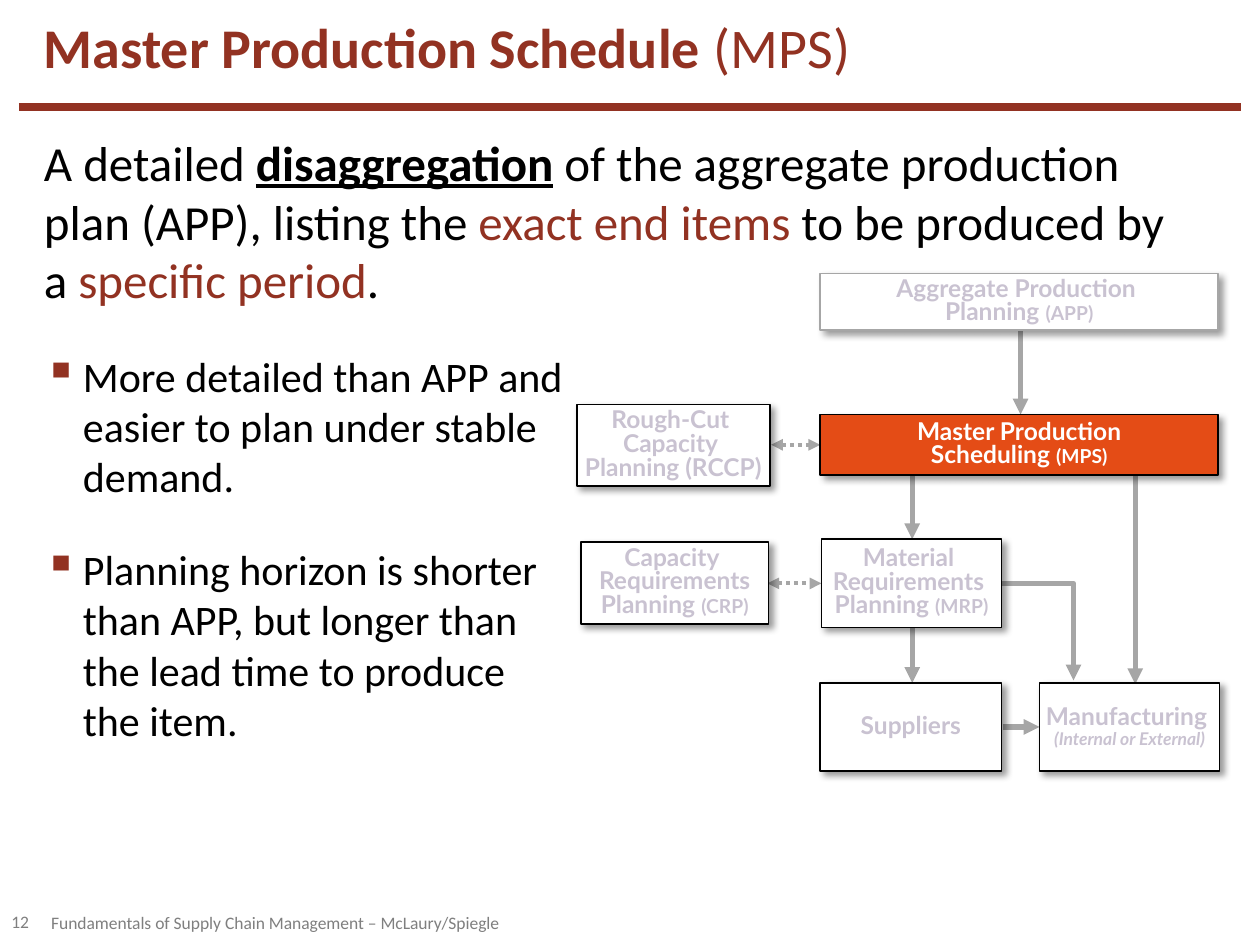
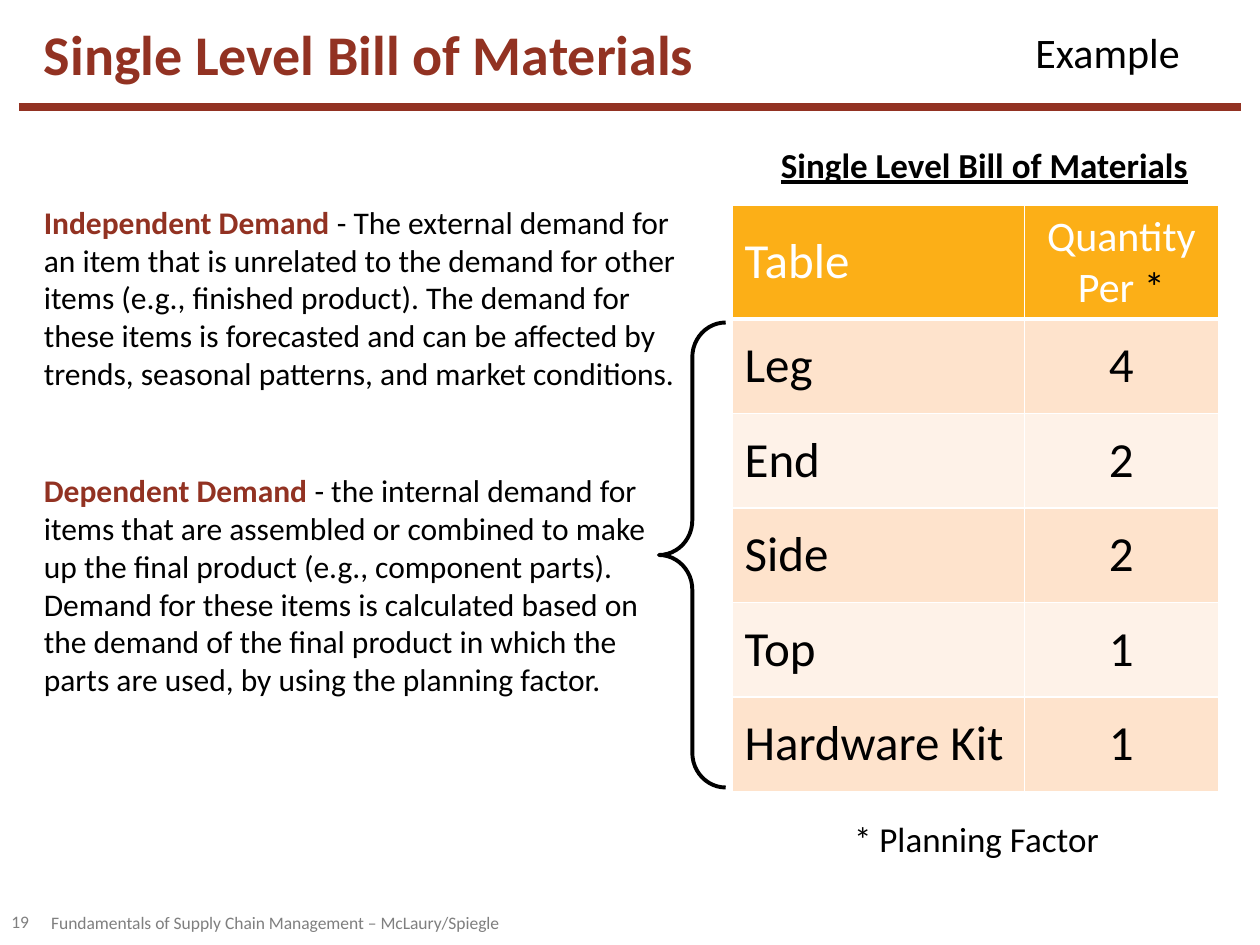
from dataclasses import dataclass
from lxml import etree
from pptx import Presentation
from pptx.dml.color import RGBColor
from pptx.enum.dml import MSO_LINE
from pptx.enum.shapes import MSO_CONNECTOR, MSO_SHAPE
from pptx.enum.text import MSO_ANCHOR, PP_ALIGN
from pptx.oxml.ns import qn
from pptx.util import Inches, Pt

LEFT, CENTER, RIGHT = PP_ALIGN.LEFT, PP_ALIGN.CENTER, PP_ALIGN.RIGHT
TOP, MIDDLE, BOTTOM = MSO_ANCHOR.TOP, MSO_ANCHOR.MIDDLE, MSO_ANCHOR.BOTTOM
STRAIGHT, ELBOW = MSO_CONNECTOR.STRAIGHT, MSO_CONNECTOR.ELBOW
RECT, BRACE = MSO_SHAPE.RECTANGLE, MSO_SHAPE.LEFT_BRACE
DOTTED = MSO_LINE.ROUND_DOT


@dataclass(frozen=True)
class Theme:
    font: str = "Calibri"
    box_font: str = "Lato"
    brick: str = "923222"
    black: str = "000000"
    white: str = "FFFFFF"
    grey: str = "7F7F7F"
    arrow: str = "A6A6A6"
    faded: str = "C9C2D1"
    orange: str = "E44C16"
    header: str = "FCAF17"
    bands: tuple = ("FEE3CC", "FEF2E8")
    title: int = 32
    lead: int = 28
    bullet: int = 24
    label: int = 20
    body: int = 18
    box: int = 14
    abbr: int = 11
    small: int = 10


T = Theme()


def add_runs(p, runs, size, color, align=LEFT, font=T.font, spacing=None):
    p.alignment = align
    if spacing:
        p.line_spacing = spacing
    for text, *style in runs:
        opts = style[0] if style else {}
        r = p.add_run()
        r.text = text
        r.font.name = font
        r.font.size = Pt(opts.get("size", size))
        r.font.color.rgb = RGBColor.from_string(opts.get("color", color))
        r.font.bold = opts.get("bold", False)
        r.font.italic = opts.get("italic", False)
        r.font.underline = opts.get("underline", False)


def add_text(s, at, runs, size, color=T.black, align=LEFT, anchor=TOP, wrap=True, inset=True, spacing=None):
    tf = s.shapes.add_textbox(*map(Inches, at)).text_frame
    tf.word_wrap = wrap
    tf.vertical_anchor = anchor
    if not inset:
        tf.margin_left = tf.margin_right = tf.margin_top = tf.margin_bottom = 0
    add_runs(tf.paragraphs[0], runs, size, color, align, spacing=spacing)
    return tf


prs = Presentation()
prs.slide_width, prs.slide_height = Inches(10), Inches(7.5)
BOLD = {"bold": True}
BRICK = {"color": T.brick}

slides = []
for number in ("12", "19"):
    s = prs.slides.add_slide(prs.slide_layouts[6])
    rule = s.shapes.add_connector(STRAIGHT, Inches(0.15), Inches(0.85), Inches(9.85), Inches(0.85))
    rule.line.color.rgb = RGBColor.from_string(T.brick)
    rule.line.width = Pt(4.5)
    etree.SubElement(rule.element.spPr, qn("a:effectLst"))
    add_text(s, (0.31, 7.23, 3.65, 0.19), [("Fundamentals of Supply Chain Management – McLaury/Spiegle",)],
             T.small, T.grey, RIGHT, MIDDLE, inset=False)
    add_text(s, (0.09, 7.22, 0.21, 0.19), [(number,)], T.small, T.grey, anchor=MIDDLE, inset=False)
    slides.append(s)
mps, bom = slides

add_text(mps, (0.25, 0.14, 7.67, 0.54), [("Master Production Schedule ", BOLD), ("(MPS)",)],
         T.title, T.brick, anchor=BOTTOM, spacing=0.8)
add_text(mps, (0.25, 1, 9.31, 1.61), [
    ("A detailed ",),
    ("disaggregation", {"bold": True, "underline": True}),
    (" of the aggregate production plan (APP), listing the ",),
    ("exact end items ", BRICK),
    ("to be produced by a ",),
    ("specific period", BRICK),
    (".",),
], T.lead)

bullets = [
    "More detailed than APP and easier to plan under stable demand.",
    "Planning horizon is shorter than APP, but longer than the lead time to produce the item.",
]
tf = add_text(mps, (0.25, 2.73, 4.33, 3.26), [(bullets[0],)], T.bullet)
add_runs(tf.add_paragraph(), [(bullets[1],)], T.bullet, T.black)
for p in tf.paragraphs:
    p.space_before = p.space_after = Pt(12)
    pPr = p._p.get_or_add_pPr()
    pPr.set("marL", str(Inches(0.31)))
    pPr.set("indent", str(Inches(-0.31)))
    color = etree.SubElement(pPr, qn("a:buClr"))
    etree.SubElement(color, qn("a:srgbClr"), val=T.brick)
    etree.SubElement(pPr, qn("a:buSzPct"), val="110000")
    etree.SubElement(pPr, qn("a:buChar"), char="▪")

arrows = [
    (STRAIGHT, 6.09, 4.63, 6.52, 4.63, True),
    (STRAIGHT, 6.12, 3.53, 6.51, 3.53, True),
    (STRAIGHT, 7.24, 4.98, 7.24, 5.42, False),
    (STRAIGHT, 9.01, 3.76, 9.01, 5.43, False),
    (STRAIGHT, 7.24, 3.75, 7.24, 4.28, False),
    (STRAIGHT, 7.96, 5.77, 8.25, 5.77, False),
    (STRAIGHT, 8.1, 2.62, 8.1, 3.29, False),
    (ELBOW, 7.95, 4.63, 8.52, 5.4, False),
]
for kind, x1, y1, x2, y2, two_way in arrows:
    arrow = mps.shapes.add_connector(kind, *map(Inches, (x1, y1, x2, y2)))
    arrow.line.color.rgb = RGBColor.from_string(T.arrow)
    arrow.line.width = Pt(2.25 if two_way else 3)
    ln = arrow.line._get_or_add_ln()
    if two_way:
        arrow.line.dash_style = DOTTED
        etree.SubElement(ln, qn("a:headEnd"), type="triangle")
    etree.SubElement(ln, qn("a:tailEnd"), type="triangle")
    etree.SubElement(arrow.element.spPr, qn("a:effectLst"))
    if kind == ELBOW:
        arrow.element.spPr.find(qn("a:prstGeom")).set("prst", "bentConnector2")

ABBR = {"bold": True, "size": T.abbr}
NOTE = {"bold": True, "italic": True, "size": T.small}
plain = (T.white, T.black, T.faded)
boxes = [
    ((4.58, 3.21, 1.53, 0.65), plain, 0.8,
     [[("Rough-Cut ", BOLD)], [("Capacity ", BOLD)], [("Planning (RCCP)", BOLD)]]),
    ((4.61, 4.3, 1.49, 0.65), plain, 0.8,
     [[("Capacity ", BOLD)], [("Requirements", BOLD)], [("Planning ", BOLD), ("(CRP)", ABBR)]]),
    ((8.25, 5.42, 1.43, 0.7), plain, 0.9,
     [[("Manufacturing ", BOLD)], [("(Internal or External)", NOTE)]]),
    ((6.51, 2.17, 3.16, 0.45), (T.white, T.arrow, T.faded), 0.8,
     [[("Aggregate Production ", BOLD)], [("Planning ", BOLD), ("(APP)", ABBR)]]),
    ((6.51, 3.29, 3.16, 0.48), (T.orange, T.black, T.white), 0.8,
     [[("Master Production", BOLD)], [("Scheduling ", BOLD), ("(MPS)", ABBR)]]),
    ((6.51, 5.42, 1.44, 0.7), plain, 0.9, [[("Suppliers", BOLD)]]),
    ((6.52, 4.28, 1.43, 0.7), plain, 0.8,
     [[("Material ", BOLD)], [("Requirements ", BOLD)], [("Planning ", BOLD), ("(MRP)", ABBR)]]),
]
for at, (fill, outline, ink), spacing, lines in boxes:
    sp = mps.shapes.add_shape(RECT, *map(Inches, at))
    sp.fill.solid()
    sp.fill.fore_color.rgb = RGBColor.from_string(fill)
    sp.line.color.rgb = RGBColor.from_string(outline)
    sp.line.width = Pt(1)
    sp.shadow.inherit = False
    shadow = etree.SubElement(sp.element.spPr.find(qn("a:effectLst")), qn("a:outerShdw"),
                              blurRad=str(Pt(4)), dist=str(Pt(3)), dir="2700000", algn="tl", rotWithShape="0")
    color = etree.SubElement(shadow, qn("a:srgbClr"), val=T.black)
    etree.SubElement(color, qn("a:alpha"), val="40000")
    tf = sp.text_frame
    tf.word_wrap = False
    tf.vertical_anchor = MIDDLE
    tf.margin_left = tf.margin_right = tf.margin_top = tf.margin_bottom = 0
    for i, runs in enumerate(lines):
        p = tf.add_paragraph() if i else tf.paragraphs[0]
        add_runs(p, runs, T.box, ink, CENTER, T.box_font, spacing)

add_text(bom, (0.25, 0.16, 6.5, 0.52), [("Single Level Bill of Materials", BOLD)],
         T.title, T.brick, anchor=MIDDLE)
add_text(bom, (8.12, 0.16, 1.36, 0.5), [("Example",)], T.bullet, wrap=False)
add_text(bom, (6.1, 1.09, 3.46, 0.44),
         [("Single Level Bill of Materials", {"bold": True, "underline": True})], T.label, wrap=False)
add_text(bom, (6.68, 6.44, 2.17, 0.44), [("* Planning Factor",)], T.label, wrap=False)

definitions = [
    ((0.25, 1.56, 5.44, 1.62), "Independent Demand ",
     "- The external demand for an item that is unrelated to the demand for other items "
     "(e.g., finished product). The demand for these items is forecasted and can be affected by "
     "trends, seasonal patterns, and market conditions."),
    ((0.25, 3.69, 5.01, 1.92), "Dependent Demand ",
     "- the internal demand for items that are assembled or combined to make up the final product "
     "(e.g., component parts). Demand for these items is calculated based on the demand of the "
     "final product in which the parts are used, by using the planning factor."),
]
for at, term, meaning in definitions:
    tf = add_text(bom, at, [(term, {"bold": True, "color": T.brick}), (meaning,)], T.body)
    tf.paragraphs[0].space_before, tf.paragraphs[0].space_after = Pt(6), Pt(12)

parts = [("Leg", "4"), ("End", "2"), ("Side", "2"), ("Top", "1"), ("Hardware Kit", "1")]
rows = [([("Table",)], [("Quantity Per ", {"size": T.bullet, "color": T.white}),
                        ("*", {"size": T.bullet, "color": T.black})])]
rows += [([(part,)], [(quantity,)]) for part, quantity in parts]
table = bom.shapes.add_table(len(rows), 2, Inches(5.81), Inches(1.63), Inches(3.86), Inches(4.65)).table
table.columns[0].width, table.columns[1].width = Inches(2.32), Inches(1.54)
for i, row in enumerate(rows):
    table.rows[i].height = Inches(0.75 if i else 0.9)
    for j, runs in enumerate(row):
        cell = table.cell(i, j)
        cell.vertical_anchor = MIDDLE
        cell.fill.solid()
        cell.fill.fore_color.rgb = RGBColor.from_string(T.bands[(i - 1) % 2] if i else T.header)
        add_runs(cell.text_frame.paragraphs[0], runs, T.lead, T.black if i else T.white, CENTER if j else LEFT)
        tcPr = cell._tc.get_or_add_tcPr()
        for k, side in enumerate(("lnL", "lnR", "lnT", "lnB")):
            thick = (i, side) in ((0, "lnB"), (1, "lnT"))
            ln = etree.Element(qn("a:" + side), w=str(Pt(3 if thick else 1)))
            fill = etree.SubElement(ln, qn("a:solidFill"))
            etree.SubElement(fill, qn("a:srgbClr"), val=T.white)
            tcPr.insert(k, ln)

brace = bom.shapes.add_shape(BRACE, Inches(5.23), Inches(2.56), Inches(0.53), Inches(3.69))
brace.adjustments[0], brace.adjustments[1] = 0.52, 0.5
brace.fill.background()
brace.line.color.rgb = RGBColor.from_string(T.black)
brace.line.width = Pt(2.25)
brace.shadow.inherit = False

prs.save("out.pptx")
